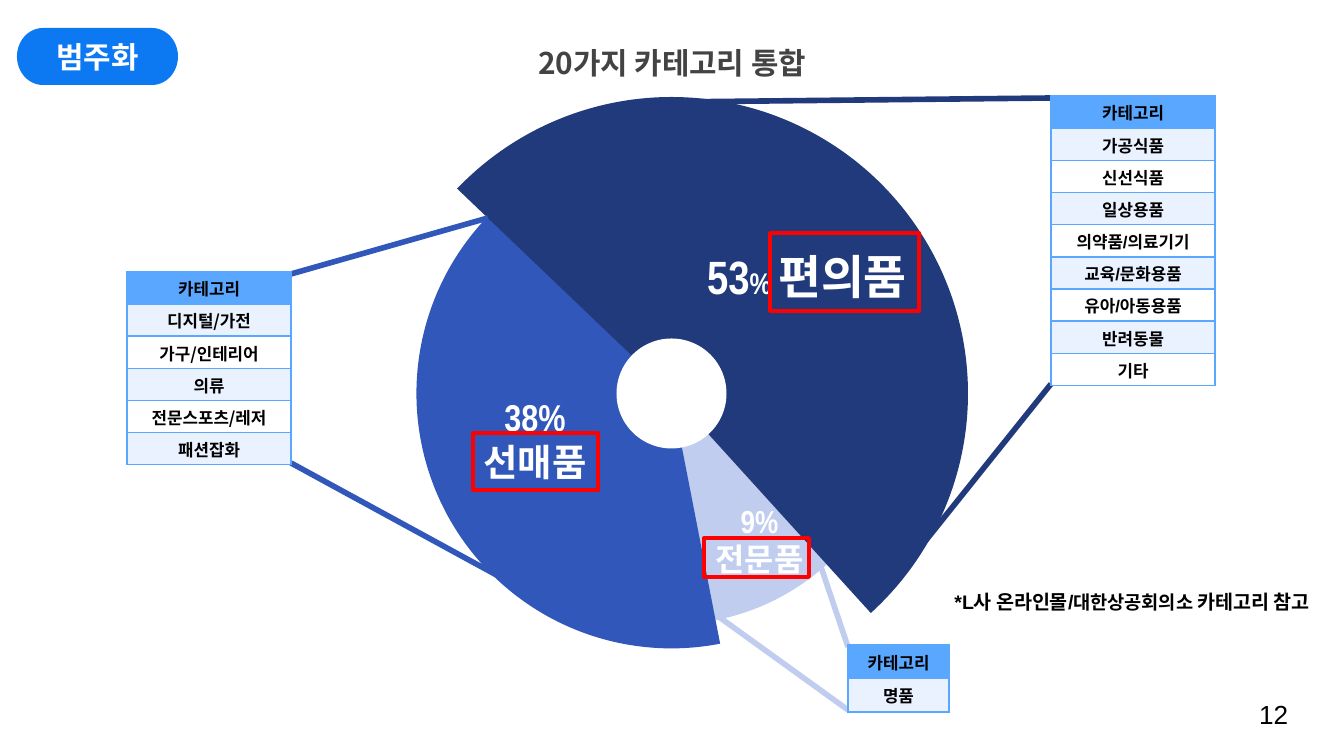
from lxml.etree import SubElement
from pptx import Presentation
from pptx.dml.color import RGBColor
from pptx.enum.shapes import MSO_CONNECTOR, MSO_SHAPE
from pptx.enum.text import MSO_ANCHOR, PP_ALIGN
from pptx.oxml.ns import qn
from pptx.util import Pt

PX = 9144000 / 1344
SANS, NARROW, KOREAN = "Arial", "Arial Narrow", "Noto Sans CJK KR"
WHITE = RGBColor(0xFF, 0xFF, 0xFF)
BLACK = RGBColor(0, 0, 0)
GREY = RGBColor(0x43, 0x43, 0x43)
RED = RGBColor(0xFF, 0, 0)
NAVY = RGBColor(0x20, 0x3A, 0x7B)
BLUE = RGBColor(0x30, 0x57, 0xB9)
PALE = RGBColor(0xC0, 0xCD, 0xEF)
BADGE_BLUE = RGBColor(0x0C, 0x79, 0xF3)
HEADER = RGBColor(0x59, 0xA7, 0xFF)
BAND = RGBColor(0xEA, 0xF1, 0xFF)


def px(*lengths):
    return [round(length * PX) for length in lengths]


def write(frame, paragraphs, font, color, bold=True, align=PP_ALIGN.CENTER, inset=0):
    """Each paragraph is a list of (text, size) runs."""
    frame.word_wrap = True
    frame.vertical_anchor = MSO_ANCHOR.MIDDLE
    frame.margin_left = frame.margin_right = px(inset)[0]
    frame.margin_top = frame.margin_bottom = 0
    for index, runs in enumerate(paragraphs):
        paragraph = frame.add_paragraph() if index else frame.paragraphs[0]
        paragraph.alignment = align
        for text, size in runs:
            run = paragraph.add_run()
            run.text = text
            run.font.name, run.font.size, run.font.bold = font, Pt(size), bold
            run.font.color.rgb = color
            SubElement(run.font._element, qn("a:ea"), typeface=KOREAN)


def add_label(slide, box, paragraphs, font, color, **style):
    label = slide.shapes.add_textbox(*px(*box))
    write(label.text_frame, paragraphs, font, color, **style)


def add_solid(slide, preset, box, color):
    solid = slide.shapes.add_shape(preset, *px(*box))
    solid.shadow.inherit = False
    solid.fill.solid()
    solid.fill.fore_color.rgb = color
    solid.line.fill.background()
    return solid


def add_frame(slide, box):
    frame = slide.shapes.add_shape(MSO_SHAPE.RECTANGLE, *px(*box))
    frame.shadow.inherit = False
    frame.fill.background()
    frame.line.color.rgb = RED
    frame.line.width = Pt(2)


def add_leader(slide, start, end, color):
    leader = slide.shapes.add_connector(MSO_CONNECTOR.STRAIGHT, *px(*start, *end))
    leader.line.color.rgb = color
    leader.line.width = Pt(3)
    SubElement(leader._element.spPr, qn("a:effectLst"))


def add_heading(slide, box):
    left, top, width, height = box
    # Badge on the left, title in the middle
    badge = add_solid(slide, MSO_SHAPE.FLOWCHART_TERMINATOR,
                      (left, top, 161, 57), BADGE_BLUE)
    write(badge.text_frame, [[("범주화", 16)]], KOREAN, WHITE)
    title = slide.shapes.title
    title.left, title.top, title.width, title.height = px(
        left + width / 2 - 176, top + 14, 352, 42)
    write(title.text_frame, [[("20가지 카테고리 통합", 16)]], KOREAN, GREY)


def add_share_chart(slide, box):
    left, top, size = box
    center_x, center_y = left + size / 2, top + size / 2
    # Wedges: diameter, start and end angle in degrees, clockwise from the right
    for diameter, start, end, color in [(462, 47.73, 79.17, PALE),
                                        (510, 78.98, 225, BLUE),
                                        (size, 223.7, 47.76, NAVY)]:
        wedge = add_solid(slide, MSO_SHAPE.PIE,
                          (center_x - diameter / 2, center_y - diameter / 2,
                           diameter, diameter), color)
        wedge.adjustments[0] = start * 0.6
        wedge.adjustments[1] = end * 0.6
    add_solid(slide, MSO_SHAPE.OVAL, (center_x - 55, center_y - 55, 110, 110), WHITE)
    # Shares and names, each name in a red frame
    for label_box, paragraphs, frame_box in [
        ((253, 397, 263, 91), [[("9%", 17)], [("전문품", 17)]], (329, 441, 105, 39)),
        ((7, 297, 306, 91), [[("38%", 20)], [("선매품", 20)]], (98, 336, 125, 57)),
        ((297, 133, 270, 91), [[("53", 25), ("% ", 16), ("편의품", 25)]],
         (395, 136, 149, 78)),
    ]:
        for place, (x, y, width, height) in (("label", label_box), ("frame", frame_box)):
            area = (left + x, top + y, width, height)
            if place == "label":
                add_label(slide, area, paragraphs, NARROW, WHITE)
            else:
                add_frame(slide, area)


def add_category_table(slide, box, names, font, color, wedge_ends, on_right=True):
    left, top, width, height = box
    # Leaders from the near corners to the wedge
    edge = left if on_right else left + width
    for y, wedge_end in zip((top + 2, top + height - 2), wedge_ends):
        add_leader(slide, (edge, y), wedge_end, color)
    # Header and banded rows
    rows = ["카테고리"] + names
    table = slide.shapes.add_table(len(rows), 1, *px(*box)).table
    table.first_row = table.horz_banding = False
    for index, name in enumerate(rows):
        table.rows[index].height = px(height / len(rows))[0]
        cell = table.cell(index, 0)
        write(cell.text_frame, [[(name, 9)]], font if index else SANS, BLACK)
        cell.vertical_anchor = MSO_ANCHOR.MIDDLE
        cell.margin_left = cell.margin_right = cell.margin_top = px(1)[0]
        cell.margin_bottom = 0
        properties = cell._tc.get_or_add_tcPr()
        for side in ("lnL", "lnR", "lnT", "lnB"):
            border = SubElement(properties, qn(f"a:{side}"), w=str(Pt(1)))
            fill = SubElement(border, qn("a:solidFill"))
            SubElement(fill, qn("a:srgbClr"), val=str(HEADER))
        cell.fill.solid()
        cell.fill.fore_color.rgb = HEADER if index == 0 else BAND if index % 2 else WHITE


def add_footer(slide, box):
    left, top, width, height = box
    add_label(slide, (left, top, width, 39),
              [[("*L사 온라인몰/", 10.5), ("대한상공회의소", 10), (" 카테고리 참고", 10.5)]],
              SANS, BLACK)
    add_label(slide, (left + 319, top + height - 58, 81, 58), [[("12", 14)]],
              SANS, BLACK, bold=False, align=PP_ALIGN.LEFT, inset=13)


presentation = Presentation()
presentation.slide_width, presentation.slide_height = px(1344, 756)
slide = presentation.slides.add_slide(presentation.slide_layouts[5])

add_heading(slide, (17, 28, 1310, 57))
add_share_chart(slide, (375, 97, 593))
add_category_table(slide, (127, 272, 164, 193),
                   ["디지털/가전", "가구/인테리어", "의류", "전문스포츠/레저", "패션잡화"],
                   KOREAN, BLUE, [(488, 218), (612, 638)], on_right=False)
add_category_table(slide, (1051, 96, 164, 290),
                   ["가공식품", "신선식품", "일상용품", "의약품/의료기기", "교육/문화용품",
                    "유아/아동용품", "반려동물", "기타"],
                   SANS, NAVY, [(672, 102), (871, 609)])
add_category_table(slide, (848, 645, 101, 67), ["명품"],
                   SANS, PALE, [(820, 564), (719, 617)])
add_footer(slide, (927, 582, 410, 161))

presentation.save("out.pptx")
